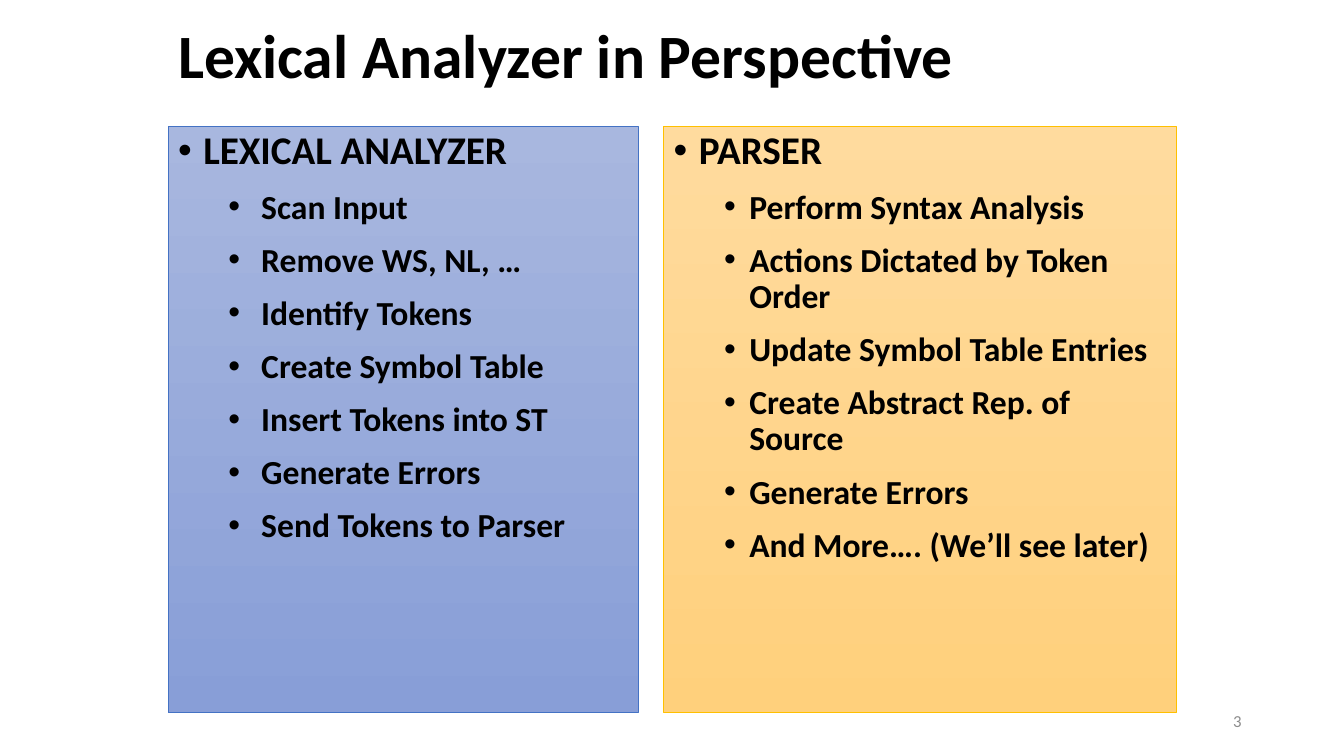
import pptx
import pptx.dml.color
import pptx.enum.text
import pptx.oxml.ns
import pptx.util
from lxml import etree

Pt = pptx.util.Pt
ANCHOR = pptx.enum.text.MSO_ANCHOR
ALIGN = pptx.enum.text.PP_ALIGN

LEXER_TASKS = ["Scan Input", "Remove WS, NL, …", "Identify Tokens", "Create Symbol Table",
               "Insert Tokens into ST", "Generate Errors", "Send Tokens to Parser"]
PARSER_TASKS = ["Perform Syntax Analysis", "Actions Dictated by Token Order",
                "Update Symbol Table Entries", "Create Abstract Rep. of Source",
                "Generate Errors", "And More…. (We’ll see later)"]


def colour(code):
    return pptx.dml.color.RGBColor.from_string(code)


def apply(target, formats):
    for name, value in formats.items():
        setattr(target, name, value)


def place(shape, box):
    apply(shape, dict(zip(("left", "top", "width", "height"), map(Pt, box))))


def write(paragraph, text, size, code="000000", bold=True, **layout):
    run = paragraph.add_run()
    run.text = text
    apply(run.font, {"name": "Calibri", "size": Pt(size), "bold": bold})
    run.font.color.rgb = colour(code)
    apply(paragraph, layout)


def add_bullet(paragraph, margin, hanging):
    properties = paragraph._p.get_or_add_pPr()
    properties.set("marL", str(Pt(margin)))
    properties.set("indent", str(-Pt(hanging)))
    for tag, key, value in (("a:buFont", "typeface", "Arial"), ("a:buChar", "char", "•")):
        etree.SubElement(properties, pptx.oxml.ns.qn(tag)).set(key, value)


# Heading above both panels
def fill_title(title, box, text):
    place(title, box)
    apply(title.text_frame, {"vertical_anchor": ANCHOR.MIDDLE, "word_wrap": True,
                             "auto_size": pptx.enum.text.MSO_AUTO_SIZE.NONE})
    write(title.text_frame.paragraphs[0], text, 44, alignment=ALIGN.LEFT, line_spacing=0.9)


# Shaded panel: a heading bullet and its indented tasks
def fill_panel(panel, box, heading, tasks, shades, outline, extra_indent=0):
    place(panel, box)
    panel.fill.gradient()
    panel.fill.gradient_angle = 270
    for stop, shade in zip(panel.fill.gradient_stops, shades):
        stop.color.rgb = colour(shade)
    panel.line.color.rgb = colour(outline)
    panel.line.width = Pt(0.5)

    frame = panel.text_frame
    apply(frame, {"vertical_anchor": ANCHOR.TOP, "word_wrap": True,
                  "auto_size": pptx.enum.text.MSO_AUTO_SIZE.NONE})
    first = frame.paragraphs[0]
    write(first, heading, 28, line_spacing=0.9, space_before=Pt(0))
    add_bullet(first, 18, 18)
    for task in tasks:
        item = frame.add_paragraph()
        write(item, task, 24, level=1, line_spacing=0.9, space_before=Pt(12))
        add_bullet(item, 54 + extra_indent, 18 + extra_indent)


# Page number at the lower right
def add_page_number(slide, box, number):
    frame = slide.shapes.add_textbox(*map(Pt, box)).text_frame
    apply(frame, {"vertical_anchor": ANCHOR.MIDDLE, "word_wrap": True})
    write(frame.paragraphs[0], number, 12, "8C8C8C", False, alignment=ALIGN.RIGHT)


def main():
    deck = pptx.Presentation()
    apply(deck, {"slide_width": Pt(960), "slide_height": Pt(540)})
    slide = deck.slides.add_slide(deck.slide_layouts[3])
    title, lexer, parser = slide.placeholders

    fill_title(title, (120, 12, 720, 60), "Lexical Analyzer in Perspective")
    fill_panel(lexer, (120, 90, 336, 419), "LEXICAL ANALYZER", LEXER_TASKS,
               ("A8B7DF", "889ED7"), "4472C4", extra_indent=5.4)
    fill_panel(parser, (474, 90, 366, 419), "PARSER", PARSER_TASKS,
               ("FFDB9E", "FFD07C"), "FFC000")
    add_page_number(slide, (678, 500.5, 216, 28.75), "3")
    deck.save("out.pptx")


if __name__ == "__main__":
    main()
